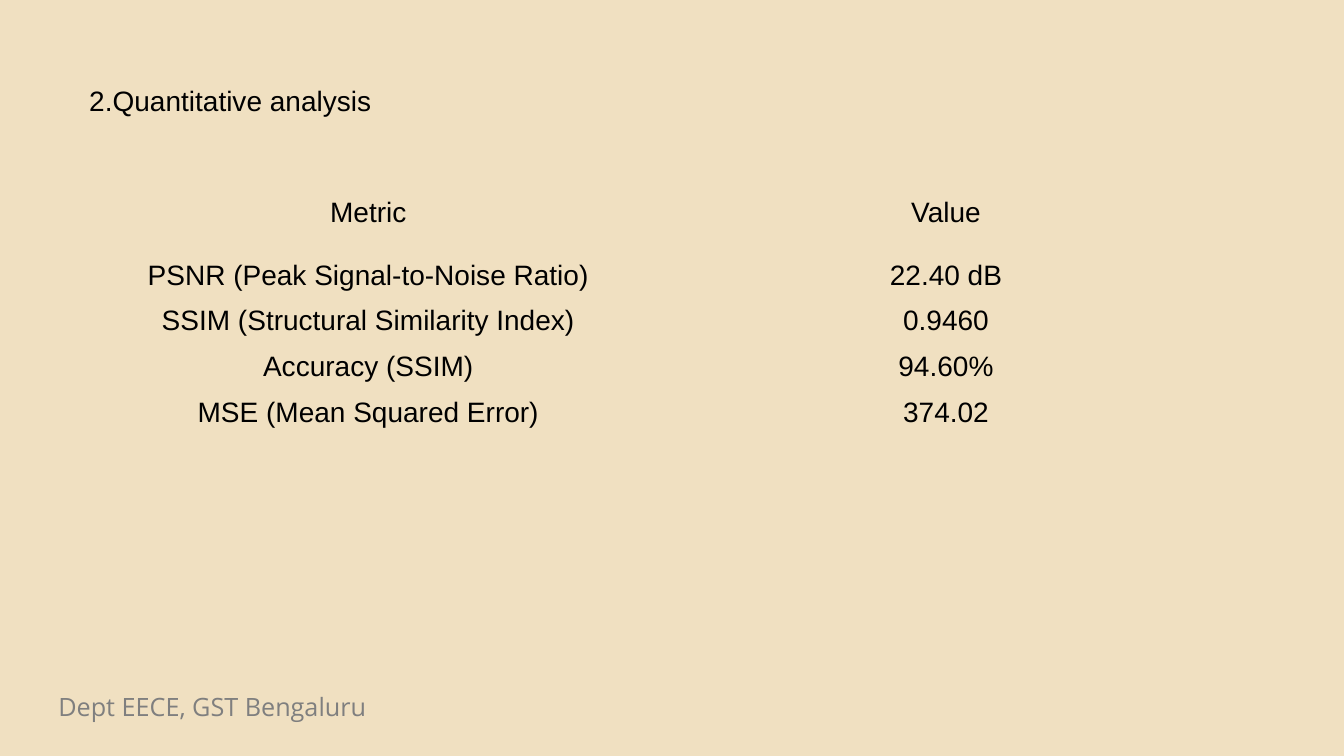
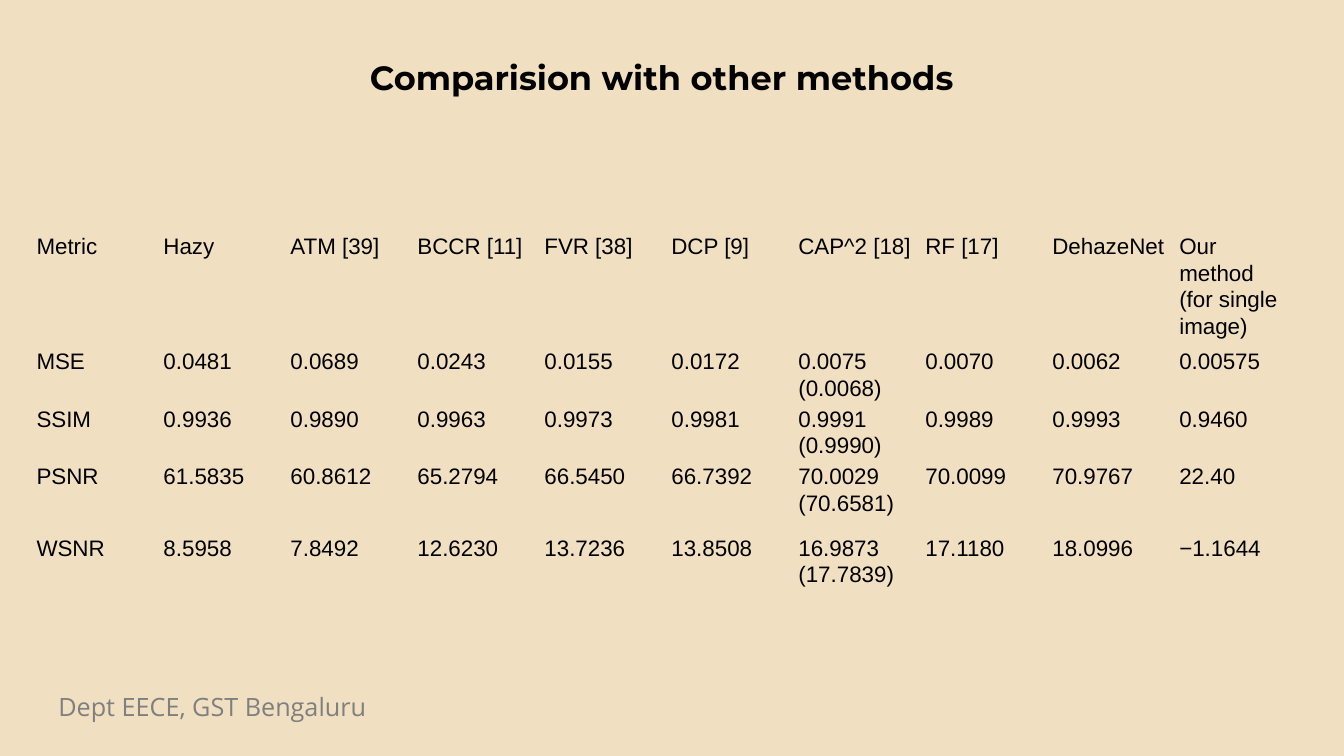
from dataclasses import dataclass

from pptx import Presentation
from pptx.dml.color import RGBColor
from pptx.enum.text import PP_ALIGN as Align
from pptx.oxml.ns import qn
from pptx.slide import Slide
from pptx.text.text import TextFrame
from pptx.util import Cm, Pt

SAND = RGBColor(0xF0, 0xE0, 0xC1)
BLACK = RGBColor(0x00, 0x00, 0x00)
GREY = RGBColor(0x7F, 0x7F, 0x7F)
BODY_FONT = "Arial"
TITLE_FONT = "Montserrat"
FOOTER_FONT = "Open Sans"
NO_STYLE_NO_GRID = "{2D5ABB26-0587-4C30-8999-92F81FD0307C}"
CELL_INSET = Cm(0.18)
BLANK_LAYOUT = 6


@dataclass(frozen=True)
class Box:
    """Place of a text box, in centimetres."""
    left: float
    top: float
    width: float
    height: float


@dataclass(frozen=True)
class Grid:
    """Place, sizes (in centimetres) and text style of a table."""
    left: float
    top: float
    columns: list[float]
    rows: list[float]
    size: int
    align: Align = Align.LEFT
    line_spacing: float = 1.0


FOOTER_BOX = Box(1.22, 17.3, 13.3, 1.02)
HEADING_BOX = Box(2, 1.98, 13.75, 1.11)
TITLE_BOX = Box(9.07, 1.3, 19.28, 1.27)

RESULTS_GRID = Grid(2, 4.98, [14.56] * 2, [1.57] + [1.15] * 4, 20, Align.CENTER)
RESULTS = [
    ("Metric", "Value"),
    ("PSNR (Peak Signal-to-Noise Ratio)", "22.40 dB"),
    ("SSIM (Structural Similarity Index)", "0.9460"),
    ("Accuracy (SSIM)", "94.60%"),
    ("MSE (Mean Squared Error)", "374.02"),
]

METHODS_GRID = Grid(0.74, 5.87, [3.2] * 9 + [3.15], [2.74, 1.35, 1.35, 1.8, 1.8],
                    16, line_spacing=1.07)
METHODS = [
    ("Metric", "Hazy", "ATM [39]", "BCCR [11]", "FVR [38]", "DCP [9]",
     "CAP^2 [18]", "RF [17]", "DehazeNet", "Our method\n(for single image)"),
    ("MSE", "0.0481", "0.0689", "0.0243", "0.0155", "0.0172",
     "0.0075 (0.0068)", "0.0070", "0.0062", "0.00575"),
    ("SSIM", "0.9936", "0.9890", "0.9963", "0.9973", "0.9981",
     "0.9991 (0.9990)", "0.9989", "0.9993", "0.9460"),
    ("PSNR", "61.5835", "60.8612", "65.2794", "66.5450", "66.7392",
     "70.0029 (70.6581)", "70.0099", "70.9767", "22.40"),
    ("WSNR", "8.5958", "7.8492", "12.6230", "13.7236", "13.8508",
     "16.9873 (17.7839)", "17.1180", "18.0996", "−1.1644"),
]


def write_text(frame: TextFrame, text: str, *, size: int, font: str = BODY_FONT,
               color: RGBColor = BLACK, bold: bool = False,
               align: Align = Align.LEFT, line_spacing: float = 1.0) -> None:
    """Fill the frame with one paragraph for each line of the text."""
    frame.text = text
    frame.word_wrap = True
    for paragraph in frame.paragraphs:
        paragraph.alignment = align
        paragraph.line_spacing = line_spacing
        for run in paragraph.runs:
            run.font.name = font
            run.font.size = Pt(size)
            run.font.bold = bold
            run.font.color.rgb = color


def add_text(slide: Slide, box: Box, text: str, **text_format) -> None:
    shape = slide.shapes.add_textbox(
        Cm(box.left), Cm(box.top), Cm(box.width), Cm(box.height))
    write_text(shape.text_frame, text, **text_format)


def add_grid(slide: Slide, grid: Grid, content: list[tuple[str, ...]]) -> None:
    """Add a table without fills or borders."""
    shape = slide.shapes.add_table(
        len(grid.rows), len(grid.columns), Cm(grid.left), Cm(grid.top),
        Cm(sum(grid.columns)), Cm(sum(grid.rows)))
    table = shape.table
    table.first_row = table.horz_banding = False
    for style in shape.element.iter(qn("a:tableStyleId")):
        style.text = NO_STYLE_NO_GRID
    for column, width in zip(table.columns, grid.columns):
        column.width = Cm(width)
    for row, height, texts in zip(table.rows, grid.rows, content):
        row.height = Cm(height)
        for cell, text in zip(row.cells, texts):
            cell.fill.background()
            cell.margin_left = cell.margin_right = CELL_INSET
            cell.margin_top = cell.margin_bottom = 0
            write_text(cell.text_frame, text, size=grid.size, align=grid.align,
                       line_spacing=grid.line_spacing)


def add_footed_slide(presentation: Presentation) -> Slide:
    slide = presentation.slides.add_slide(presentation.slide_layouts[BLANK_LAYOUT])
    add_text(slide, FOOTER_BOX, "Dept EECE, GST Bengaluru", size=18,
             font=FOOTER_FONT, color=GREY)
    return slide


def main() -> None:
    presentation = Presentation()
    presentation.slide_width = Cm(33.87)
    presentation.slide_height = Cm(19.05)
    background = presentation.slide_master.background.fill
    background.solid()
    background.fore_color.rgb = SAND

    results_slide = add_footed_slide(presentation)
    add_grid(results_slide, RESULTS_GRID, RESULTS)
    add_text(results_slide, HEADING_BOX, "2.Quantitative analysis", size=20)

    methods_slide = add_footed_slide(presentation)
    add_grid(methods_slide, METHODS_GRID, METHODS)
    add_text(methods_slide, TITLE_BOX, "Comparision with other methods", size=24,
             font=TITLE_FONT, bold=True)

    presentation.save("out.pptx")


if __name__ == "__main__":
    main()
